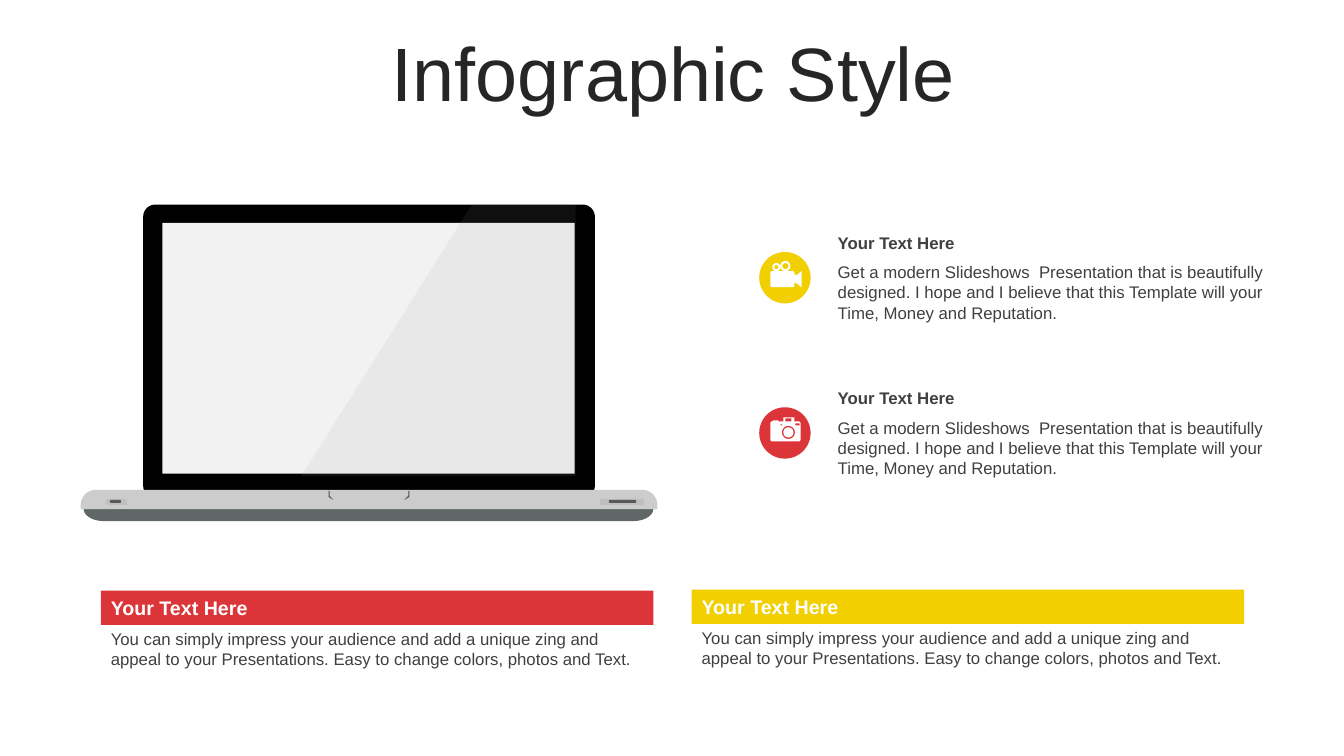
import math
from typing import NamedTuple

from lxml import etree
from pptx import Presentation
from pptx.dml.color import RGBColor
from pptx.enum.shapes import MSO_SHAPE
from pptx.enum.text import MSO_ANCHOR, PP_ALIGN
from pptx.oxml.ns import qn
from pptx.shapes.autoshape import Shape
from pptx.util import Inches, Pt

RECTANGLE = MSO_SHAPE.RECTANGLE
ROUNDED = MSO_SHAPE.ROUNDED_RECTANGLE
OVAL = MSO_SHAPE.OVAL
TOP, MIDDLE = MSO_ANCHOR.TOP, MSO_ANCHOR.MIDDLE
LEFT, CENTER = PP_ALIGN.LEFT, PP_ALIGN.CENTER

WHITE = RGBColor(0xFF, 0xFF, 0xFF)
BLACK = RGBColor(0x00, 0x00, 0x00)
RED = RGBColor(0xDC, 0x35, 0x39)
YELLOW = RGBColor(0xF1, 0xCF, 0x01)
TITLE_INK = RGBColor(0x26, 0x26, 0x26)
BODY_INK = RGBColor(0x40, 0x40, 0x40)
SCREEN = RGBColor(0xF2, 0xF2, 0xF2)
GLARE = RGBColor(0x99, 0x99, 0x99)
BASE = RGBColor(0xCC, 0xCC, 0xCC)
UNDERSIDE = RGBColor(0x5F, 0x67, 0x67)
NOTCH = RGBColor(0x4D, 0x4D, 0x4D)
PORT = RGBColor(0xBF, 0xBF, 0xBF)
SLOT = RGBColor(0x59, 0x59, 0x59)

FONT = "Arial"
HEADING = "Your Text Here"
FEATURE_TEXT = ("Get a modern Slideshows  Presentation that is beautifully designed. "
                "I hope and I believe that this Template will your Time, Money and Reputation.")
BANNER_TEXT = ("You can simply impress your audience and add a unique zing and appeal "
               "to your Presentations. Easy to change colors, photos and Text.")

Point = tuple[float, float]
Contour = list[Point]


class Box(NamedTuple):
    left: float
    top: float
    width: float
    height: float


class Style(NamedTuple):
    size: float
    color: RGBColor
    bold: bool = False


class Feature(NamedTuple):
    top: float
    color: RGBColor
    icon: list[Contour]


class Banner(NamedTuple):
    left: float
    top: float
    color: RGBColor


def arc(cx: float, cy: float, rx: float, ry: float, start: int, end: int) -> Contour:
    """Points from start to end, in degrees clockwise from the right."""
    steps = max(6, abs(end - start) // 10)
    angles = [math.radians(start + (end - start) * i / steps) for i in range(steps + 1)]
    return [(cx + rx * math.cos(a), cy + ry * math.sin(a)) for a in angles]


def circle(cx: float, cy: float, radius: float) -> Contour:
    return arc(cx, cy, radius, radius, 0, 360)


def rounded_box(box: Box, radius: float) -> Contour:
    x1, y1 = box.left + radius, box.top + radius
    x2, y2 = box.left + box.width - radius, box.top + box.height - radius
    corners = [(x1, y1, 180), (x2, y1, 270), (x2, y2, 0), (x1, y2, 90)]
    return [p for x, y, a in corners for p in arc(x, y, radius, radius, a, a + 90)]


VIDEO_ICON = [
    rounded_box(Box(7.64, 2.69, 0.24, 0.16), 0.02),
    circle(7.79, 2.64, 0.05), circle(7.79, 2.64, 0.03),
    circle(7.7, 2.65, 0.04), circle(7.7, 2.65, 0.02),
    [(7.88, 2.72), (7.9, 2.73), (7.95, 2.69), (7.95, 2.85), (7.9, 2.81), (7.88, 2.81)],
]
CAMERA_ICON = [
    [*arc(7.66, 4.2, 0.02, 0.02, 180, 270), (7.67, 4.17), (7.72, 4.17), (7.72, 4.18),
     (7.77, 4.18), (7.77, 4.14), (7.88, 4.14), (7.88, 4.18),
     *arc(7.92, 4.2, 0.02, 0.02, 270, 360), *arc(7.92, 4.36, 0.02, 0.02, 0, 90),
     *arc(7.66, 4.36, 0.02, 0.02, 90, 180)],
    [(7.79, 4.15), (7.85, 4.15), (7.85, 4.18), (7.79, 4.18)],
    [(7.74, 4.21), (7.76, 4.21), (7.76, 4.22), (7.74, 4.22)],
    [(7.89, 4.2), (7.93, 4.2), (7.93, 4.22), (7.89, 4.22)],
    circle(7.82, 4.29, 0.065), circle(7.82, 4.29, 0.05),
]
FEATURES = [Feature(2.26, YELLOW, VIDEO_ICON), Feature(3.8, RED, CAMERA_ICON)]
BANNERS = [Banner(1, 5.86, RED), Banner(6.86, 5.85, YELLOW)]


def paint(shape: Shape, color: RGBColor) -> Shape:
    shape.shadow.inherit = False
    shape.fill.solid()
    shape.fill.fore_color.rgb = color
    shape.line.fill.background()
    return shape


def add_block(shapes, kind: MSO_SHAPE, box: Box, color: RGBColor) -> Shape:
    return paint(shapes.add_shape(kind, *map(Inches, box)), color)


def add_outline(shapes, contours: list[Contour], color: RGBColor) -> Shape:
    """Draw one freeform; a contour inside another cuts a hole."""
    outlines = [[(Inches(x), Inches(y)) for x, y in contour] for contour in contours]
    builder = shapes.build_freeform(*outlines[0][0])
    for number, (start, *rest) in enumerate(outlines):
        if number:
            builder.move_to(*start)
        builder.add_line_segments(rest, close=True)
    return paint(builder.convert_to_shape(), color)


def write(shape: Shape, text: str, style: Style, anchor: MSO_ANCHOR = TOP,
          align: PP_ALIGN = LEFT):
    frame = shape.text_frame
    frame.word_wrap = True
    frame.vertical_anchor = anchor
    paragraph = frame.paragraphs[0]
    paragraph.alignment = align
    run = paragraph.add_run()
    run.text = text
    run.font.name = FONT
    run.font.size = Pt(style.size)
    run.font.bold = style.bold
    run.font.color.rgb = style.color
    return paragraph


def add_text(shapes, box: Box, text: str, style: Style, anchor: MSO_ANCHOR = TOP,
             align: PP_ALIGN = LEFT):
    return write(shapes.add_textbox(*map(Inches, box)), text, style, anchor, align)


def draw_laptop(shapes) -> None:
    underside = [(0.83, 5.03), (6.48, 5.03), *arc(6.28, 5.05, 0.2, 0.12, 0, 90),
                 *arc(1.03, 5.05, 0.2, 0.12, 90, 180)]
    add_outline(shapes, [underside], UNDERSIDE)
    add_outline(shapes, [rounded_box(Box(1.42, 2.03, 4.48, 2.91), 0.12)], BLACK)
    add_block(shapes, RECTANGLE, Box(1.61, 2.21, 4.09, 2.49), SCREEN)
    base = [*arc(0.95, 5.01, 0.15, 0.15, 180, 270), *arc(6.37, 5.01, 0.15, 0.15, 270, 360),
            (6.52, 5.05), (0.8, 5.05)]
    add_outline(shapes, [base], BASE)
    notch_ends = [
        [(3.26, 4.87), (3.27, 4.87), (3.27, 4.92), (3.31, 4.96), (3.26, 4.93)],
        [(4.05, 4.87), (4.06, 4.87), (4.06, 4.93), (4.01, 4.96), (4.05, 4.92)],
    ]
    add_outline(shapes, notch_ends, NOTCH)
    for port, slot in [(Box(1.05, 4.95, 0.21, 0.06), Box(1.09, 4.96, 0.11, 0.03)),
                       (Box(5.95, 4.95, 0.44, 0.06), Box(6.04, 4.96, 0.27, 0.03))]:
        for box, color in [(port, PORT), (slot, SLOT)]:
            add_block(shapes, ROUNDED, box, color).adjustments[0] = 0.28
    glare = add_outline(
        shapes, [[(4.68, 2.03), (5.71, 2.03), (5.71, 4.72), (2.99, 4.72)]], GLARE)
    fill_color = next(glare.element.iter(qn("a:srgbClr")))
    etree.SubElement(fill_color, qn("a:alpha"), val="10000")


def draw_feature(shapes, feature: Feature) -> None:
    top = feature.top
    add_block(shapes, OVAL, Box(7.53, top + 0.24, 0.51, 0.51), feature.color)
    add_text(shapes, Box(8.21, top + 0.29, 4.48, 0.71), FEATURE_TEXT, Style(12, BODY_INK))
    add_text(shapes, Box(8.21, top, 4.48, 0.3), HEADING, Style(12, BODY_INK, True), MIDDLE)
    add_outline(shapes, feature.icon, WHITE)


def draw_banner(shapes, banner: Banner) -> None:
    bar = add_block(shapes, RECTANGLE, Box(banner.left, banner.top, 5.48, 0.34), banner.color)
    write(bar, HEADING, Style(14, WHITE, True))
    add_text(shapes, Box(banner.left, banner.top + 0.33, 5.48, 0.5), BANNER_TEXT,
             Style(12, BODY_INK))


def main() -> None:
    deck = Presentation()
    deck.slide_width, deck.slide_height = Inches(13.33), Inches(7.5)
    shapes = deck.slides.add_slide(deck.slide_layouts[6]).shapes
    draw_laptop(shapes)
    for feature in FEATURES:
        draw_feature(shapes, feature)
    title = add_text(shapes, Box(0.35, 0.37, 12.66, 0.79), "Infographic Style",
                     Style(54, TITLE_INK), MIDDLE, CENTER)
    title.line_spacing = 0.9
    title.space_before = Pt(10)
    for banner in BANNERS:
        draw_banner(shapes, banner)
    deck.save("out.pptx")


if __name__ == "__main__":
    main()
